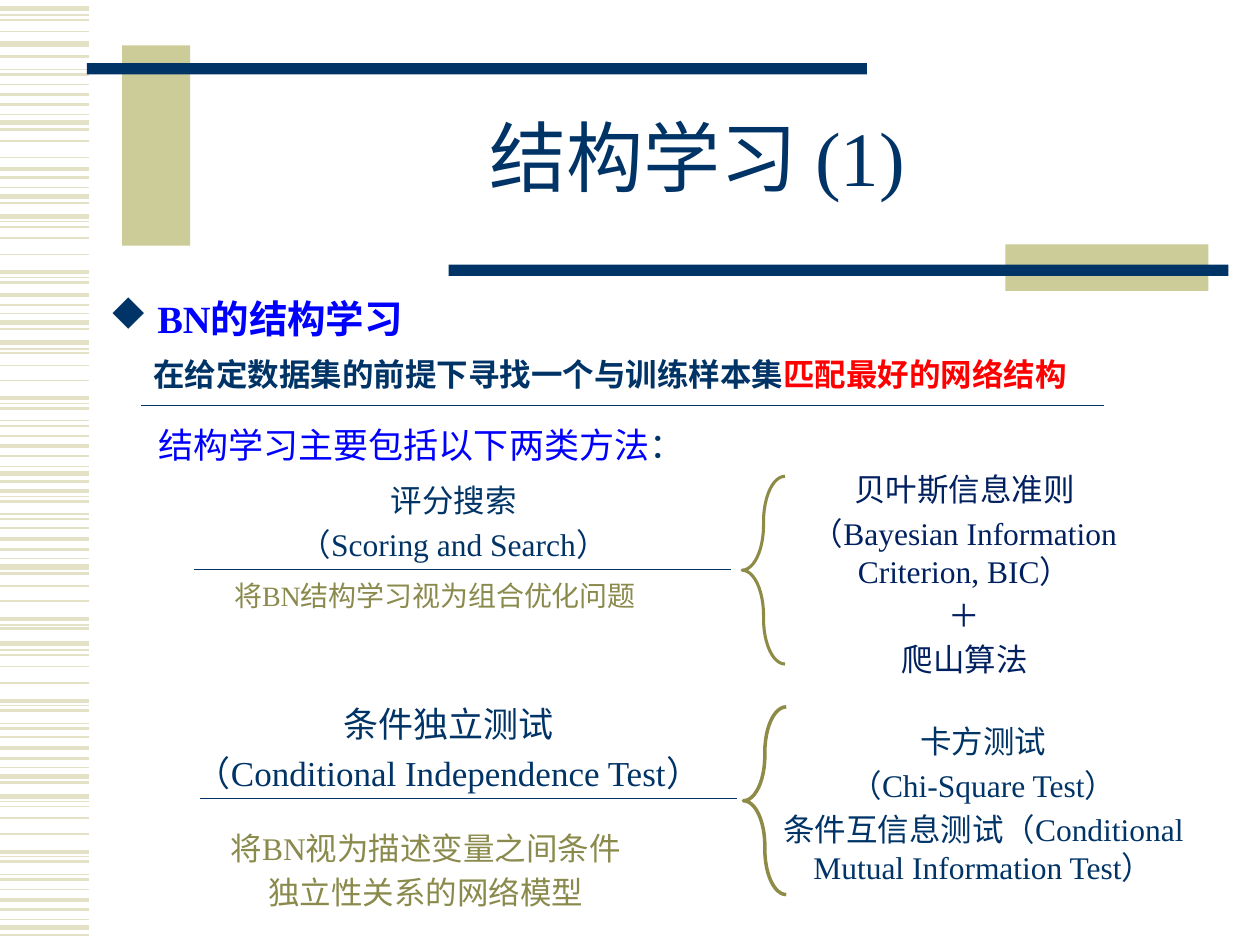
from lxml.etree import SubElement
from pptx import Presentation
from pptx.dml.color import RGBColor
from pptx.enum.shapes import MSO_CONNECTOR, MSO_SHAPE
from pptx.enum.text import MSO_ANCHOR, PP_ALIGN
from pptx.oxml.ns import qn
from pptx.util import Pt

PX = 9144
FONT = "Times New Roman"
NAVY, SAND, OLIVE, MOSS = "003366", "CCCC99", "8E8B47", "8A8A4C"
STRIPE, BLUE, RED, INDIGO = "E3E2C7", "0000FF", "FF0000", "002060"
STRIPES = {
    0.75: [12, 55, 91, 149, 176, 220, 249, 277, 320, 334, 370, 394, 408, 443, 496,
           516, 560, 574, 609, 636, 680, 694, 730],
    1: [16, 25, 67, 112, 125, 180, 189, 202, 280, 290, 302, 346, 419, 465, 477,
        520, 529, 542, 585, 640, 649, 662, 706],
    1.5: [45, 59, 83, 103, 141, 161, 224, 242, 261, 324, 338, 362, 382, 398, 412,
          436, 455, 499, 564, 578, 602, 621, 684, 698, 722, 742],
    2.25: [75, 134, 216, 234, 316, 354, 390, 428, 491, 556, 594, 676, 714],
    3: [7, 35, 97, 156, 172, 256, 272, 376, 450, 511, 616, 632, 736],
}


def px(*lengths):
    """Turn px lengths into EMU."""
    return [length * PX for length in lengths]


def color(value):
    """Turn a hex string into a colour."""
    return RGBColor.from_string(value)


def within(box, part):
    """Shift a part by the left and top of its box."""
    return (box[0] + part[0], box[1] + part[1], *part[2:])


def add_rule(slide, left, top, width, stroke=NAVY, weight=0.75):
    """Draw a horizontal line."""
    rule = slide.shapes.add_connector(
        MSO_CONNECTOR.STRAIGHT, *px(left, top, left + width, top))
    rule.line.color.rgb = color(stroke)
    rule.line.width = Pt(weight)
    SubElement(rule._element.spPr, qn("a:effectLst"))


def add_bar(slide, at, fill):
    """Draw a plain filled rectangle."""
    bar = slide.shapes.add_shape(MSO_SHAPE.RECTANGLE, *px(*at))
    bar.shadow.inherit = False
    bar.fill.solid()
    bar.fill.fore_color.rgb = color(fill)
    bar.line.fill.background()


def add_brace(slide, at, weight):
    """Draw a curly brace that opens to the right."""
    brace = slide.shapes.add_shape(MSO_SHAPE.RIGHT_BRACE, *px(*at))
    brace.shadow.inherit = False
    brace.rotation = 180
    brace.adjustments[0] = 1.054
    brace.fill.background()
    brace.line.color.rgb = color(OLIVE)
    brace.line.width = Pt(weight)


def add_text(slide, at, paragraphs, size=18, ink=NAVY, bold=False, wrap=True,
             align=PP_ALIGN.LEFT, anchor=MSO_ANCHOR.TOP, spacing=None, before=0.2):
    """Write paragraphs, each a string or a list of (text, colour) runs."""
    frame = slide.shapes.add_textbox(*px(*at)).text_frame
    frame.word_wrap = wrap
    frame.vertical_anchor = anchor
    for index, content in enumerate(paragraphs):
        paragraph = frame.paragraphs[0] if index == 0 else frame.add_paragraph()
        paragraph.alignment = align
        paragraph.space_before = Pt(round(size * before, 1))
        paragraph.line_spacing = spacing
        for words, shade in [(content, ink)] if isinstance(content, str) else content:
            run = paragraph.add_run()
            run.text = words
            run.font.name = FONT
            run.font.size = Pt(size)
            run.font.bold = bold
            run.font.color.rgb = color(shade)
    return frame


def add_diamond_bullet(paragraph, shade, indent):
    """Give a paragraph a coloured diamond bullet with a hanging indent."""
    properties = paragraph._p.get_or_add_pPr()
    properties.set("marL", str(indent * PX))
    properties.set("indent", str(-indent * PX))
    bullet_color = SubElement(properties, qn("a:buClr"))
    SubElement(bullet_color, qn("a:srgbClr")).set("val", shade)
    bullet_font = SubElement(properties, qn("a:buFont"))
    bullet_font.set("typeface", "Wingdings")
    bullet_font.set("pitchFamily", "2")
    bullet_font.set("charset", "2")
    SubElement(properties, qn("a:buChar")).set("char", "u")


def place_stripes(slide, box):
    """Fill the side band with fine lines."""
    left, top, width, _ = box
    for weight, offsets in STRIPES.items():
        for offset in offsets:
            add_rule(slide, left, top + offset, width, STRIPE, weight)


def place_header(slide, box):
    """Place the ornamental bars and the title."""
    for part, fill in [((28, 0, 54, 159), SAND), ((0, 14, 619, 9), NAVY),
                       ((729, 158, 161, 37), SAND), ((287, 174, 619, 9), NAVY)]:
        add_bar(slide, within(box, part), fill)
    add_text(slide, within(box, (81, 31, 807, 125)), ["结构学习 (1)"], size=44,
             align=PP_ALIGN.CENTER, anchor=MSO_ANCHOR.MIDDLE, spacing=0.85, before=0)


def place_definition(slide, box):
    """Place the topic, its definition and the lead-in to the methods."""
    topic = add_text(slide, within(box, (0, 0, 898, 50)), ["BN的结构学习"], size=22,
                     ink=BLUE, bold=True, spacing=Pt(26))
    add_diamond_bullet(topic.paragraphs[0], NAVY, 38)
    add_rule(slide, *within(box, (35, 92, 764)))
    add_text(slide, within(box, (35, 47, 786, 40)),
             [[("在给定数据集的前提下寻找一个与训练样本集", NAVY),
               ("匹配最好的网络结构", RED)]], bold=True)
    add_text(slide, within(box, (39, 101, 444, 44)),
             [[("结构学习主要包括以下两类方法", BLUE), ("：", NAVY)]],
             size=20, wrap=False)


def place_method(slide, box, name, rule, note, brace, details,
                 note_align=PP_ALIGN.CENTER):
    """Place a method with its note and, after a brace, its details."""
    for (part, lines, size, ink), align in [(name, PP_ALIGN.CENTER),
                                            (note, note_align),
                                            (details, PP_ALIGN.CENTER)]:
        add_text(slide, within(box, part), lines, size=size, ink=ink, align=align)
    add_rule(slide, *within(box, rule))
    part, weight = brace
    add_brace(slide, within(box, part), weight)


def main():
    """Build and save the slide."""
    deck = Presentation()
    deck.slide_width, deck.slide_height = px(1000, 750)
    slide = deck.slides.add_slide(deck.slide_layouts[6])
    place_stripes(slide, (0, 0, 71, 750))
    place_header(slide, (69, 36, 906, 195))
    place_definition(slide, (77, 230, 898, 145))
    place_method(
        slide, (88, 368, 818, 180),
        name=((42, 9, 460, 77), ["评分搜索", "（Scoring and Search）"], 18, NAVY),
        rule=(66, 84, 426),
        note=((88, 86, 401, 37), ["将BN结构学习视为组合优化问题"], 16, MOSS),
        note_align=PP_ALIGN.LEFT,
        brace=((501, 10, 34, 149), 1.75),
        details=((537, 0, 281, 180),
                 ["贝叶斯信息准则", "（Bayesian Information Criterion, BIC）",
                  "＋", "爬山算法"], 18, INDIGO))
    place_method(
        slide, (88, 553, 874, 177),
        name=((38, 0, 460, 84),
              ["条件独立测试", "（Conditional Independence Test）"], 20, NAVY),
        rule=(71, 81, 426),
        note=((0, 100, 500, 77),
              ["将BN视为描述变量之间条件", "独立性关系的网络模型"], 18, MOSS),
        brace=((502, 8, 34, 149), 2),
        details=((511, 15, 363, 143),
                 ["卡方测试", "（Chi-Square Test）",
                  "条件互信息测试（Conditional Mutual Information Test）"], 18, NAVY))
    deck.save("out.pptx")


if __name__ == "__main__":
    main()
